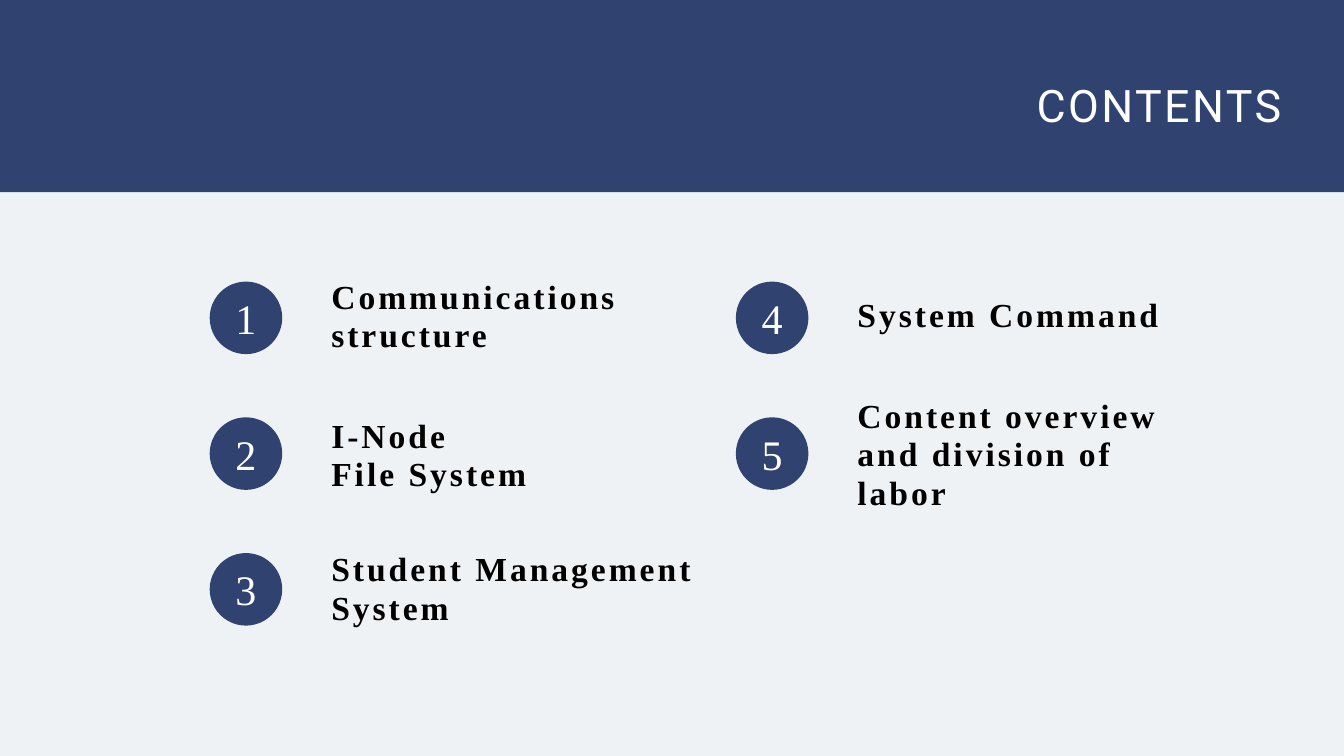
from pptx import Presentation
from pptx.dml.color import RGBColor
from pptx.enum import shapes, text
from pptx.util import Inches, Pt

COLORS = {"navy": "304370", "pale": "EEF2F5", "white": "FFFFFF", "black": "000000"}
SERIF = "Times New Roman"
COLUMN_LEFTS = (3.12, 10.95)
FIRST_ROW_TOP = 4.19
ROW_STEP = 2.02
ROWS_PER_COLUMN = 3
BADGE_SIZE = 1.08
LABEL_OFFSET = 1.81
TOPICS = [
    ("Communications structure", 4.14, 5.29, 1.17),
    ("I-Node\nFile System", 6.2, 5.29, 1.15),
    ("Student Management System", 8.19, 6.15, 1.15),
    ("System Command", 4.4, 5.29, 0.58),
    ("Content overview and division of labor", 5.91, 5.29, 1.73),
]


def color(name):
    return RGBColor.from_string(COLORS[name])


def place(shape, left, top, width, height):
    shape.left, shape.top = Inches(left), Inches(top)
    shape.width, shape.height = Inches(width), Inches(height)


def write(shape, content, font, size, ink, align, leading, tracking, bold=False):
    frame = shape.text_frame
    frame.text = content
    frame.word_wrap = True
    frame.auto_size = text.MSO_AUTO_SIZE.SHAPE_TO_FIT_TEXT
    frame.vertical_anchor = text.MSO_ANCHOR.TOP
    frame.margin_left = frame.margin_right = 0
    frame.margin_top = frame.margin_bottom = 0
    for paragraph in frame.paragraphs:
        paragraph.alignment = align
        paragraph.line_spacing = Pt(leading)
        paragraph.space_before = Pt(0)
        for run in paragraph.runs:
            run.font.name = font
            run.font.size = Pt(size)
            run.font.bold = bold
            run.font.color.rgb = color(ink)
            run._r.get_or_add_rPr().set("spc", str(round(tracking * 100)))


def add_filled(parent, preset, left, top, width, height):
    shape = parent.add_shape(
        preset, Inches(left), Inches(top), Inches(width), Inches(height)
    )
    shape.shadow.inherit = False
    shape.fill.solid()
    shape.fill.fore_color.rgb = color("navy")
    shape.line.fill.background()
    return shape


def add_text(parent, left, top, width, height, content, *style, **options):
    box = parent.add_textbox(
        Inches(left), Inches(top), Inches(width), Inches(height)
    )
    write(box, content, *style, **options)


def add_header(slide):
    band = add_filled(
        slide.shapes, shapes.MSO_SHAPE.RECTANGLE, -0.01, -0.09, 20.02, 2.95
    )
    title = slide.shapes.title
    band._element.addnext(title._element)
    place(title, 14.42, 1.38, 4.65, 0.63)
    write(title, "CONTENTS", "Roboto", 48, "white", text.PP_ALIGN.RIGHT, 41, 2.6)


def add_topic(slide, index, label, label_top, label_width, label_height):
    column, row = divmod(index, ROWS_PER_COLUMN)
    left = COLUMN_LEFTS[column]
    top = FIRST_ROW_TOP + row * ROW_STEP
    topic = slide.shapes.add_group_shape().shapes
    add_filled(topic, shapes.MSO_SHAPE.OVAL, left, top, BADGE_SIZE, BADGE_SIZE)
    add_text(topic, left, top + 0.11, BADGE_SIZE, 0.76, str(index + 1),
             SERIF, 45, "white", text.PP_ALIGN.CENTER, 57.6, 3.6)
    add_text(topic, left + LABEL_OFFSET, label_top, label_width, label_height, label,
             SERIF, 36, "black", text.PP_ALIGN.LEFT, 41, 3.2, bold=True)


def main():
    deck = Presentation()
    deck.slide_width, deck.slide_height = Inches(20), Inches(11.25)
    slide = deck.slides.add_slide(deck.slide_layouts[5])
    slide.background.fill.solid()
    slide.background.fill.fore_color.rgb = color("pale")
    add_header(slide)
    for index, topic in enumerate(TOPICS):
        add_topic(slide, index, *topic)
    deck.save("out.pptx")


if __name__ == "__main__":
    main()
